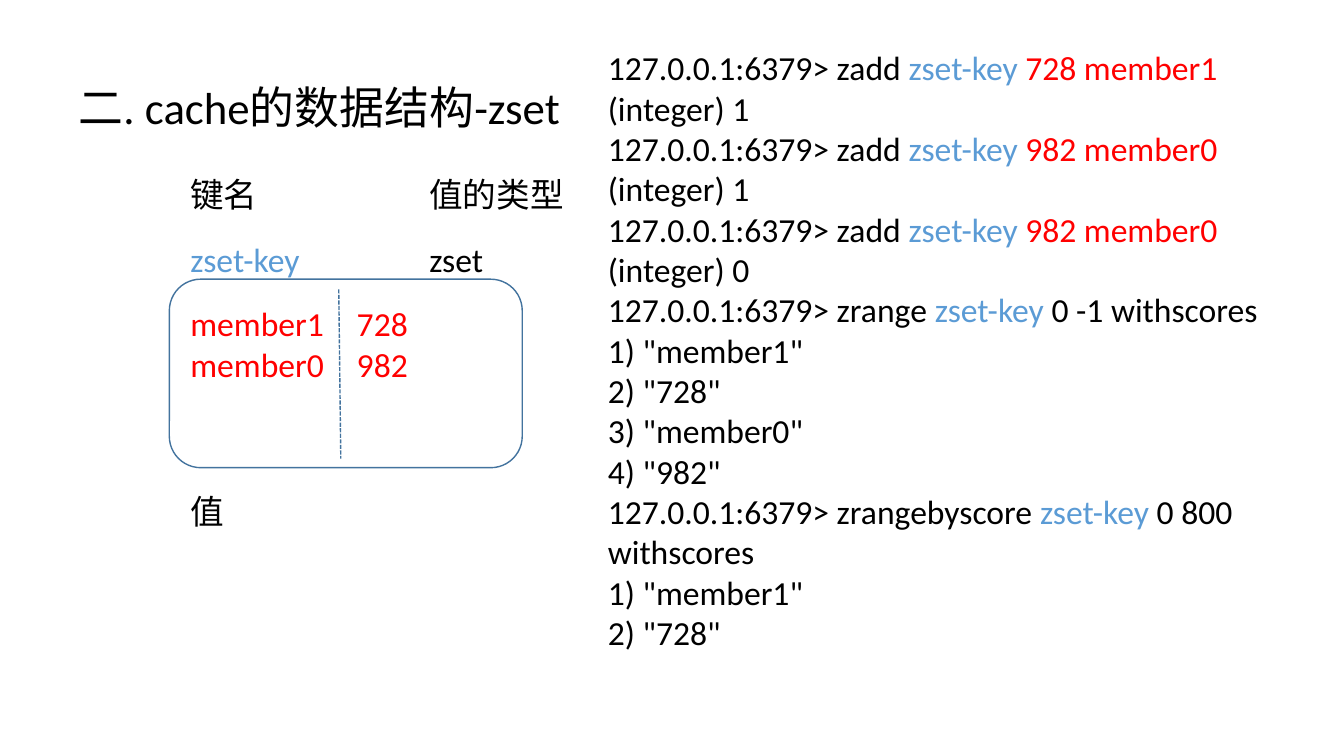
"""Build a slide on the sorted-set data structure with a console session."""
from dataclasses import dataclass

from lxml import etree
from pptx import Presentation
from pptx.dml.color import RGBColor
from pptx.enum.dml import MSO_LINE
from pptx.enum.shapes import MSO_CONNECTOR, MSO_SHAPE
from pptx.enum.text import MSO_ANCHOR, MSO_AUTO_SIZE, PP_ALIGN
from pptx.oxml.ns import qn
from pptx.util import Inches, Pt


@dataclass(frozen=True)
class Theme:
    font: str = "Calibri"
    title_size: int = 32
    body_size: int = 24
    line_width: int = 1
    plain: str = "000000"
    key: str = "5B9BD5"
    entry: str = "FF0000"
    outline: str = "43739E"


THEME = Theme()
TITLE = "二. cache的数据结构-zset"
PROMPT = "127.0.0.1:6379> "
KEY = "zset-key"


def command(verb, *arguments):
    return [(f"{PROMPT}{verb} ", THEME.plain), (KEY, THEME.key), *arguments]


def reply(text):
    return [(text, THEME.plain)]


def add_entry(entry, result):
    return [command("zadd", (f" {entry}", THEME.entry)), reply(f"(integer) {result}")]


def query(verb, limits, *answers):
    numbered = [reply(f'{n}) "{answer}"') for n, answer in enumerate(answers, 1)]
    return [command(verb, (f" {limits} withscores", THEME.plain)), *numbered]


SESSION = [
    *add_entry("728 member1", 1),
    *add_entry("982 member0", 1),
    *add_entry("982 member0", 0),
    *query("zrange", "0 -1", "member1", "728", "member0", "982"),
    *query("zrangebyscore", "0 800", "member1", "728"),
]

COLUMNS = {"key": 1.79, "score": 3.44, "type": 4.16, "session": 5.93}
ROWS = {"session": 0.42, "heading": 1.68, "name": 2.32, "entries": 2.96, "value": 4.82}
LINE_HEIGHT, PADDING = 0.4, 0.1

BLOCKS = [
    ("session", "session", 7.65, SESSION),
    ("key", "heading", 1.17, [reply("键名")]),
    ("key", "name", 2.05, [[(KEY, THEME.key)]]),
    ("type", "heading", 2.75, [reply("值的类型")]),
    ("type", "name", 1.53, [reply("zset")]),
    ("key", "entries", 2.05, [[("member1", THEME.entry)], [("member0", THEME.entry)]]),
    ("score", "entries", 1.46, [[("728", THEME.entry)], [("982", THEME.entry)]]),
    ("key", "value", 1.17, [reply("值")]),
]


def style_line(line):
    line.color.rgb = RGBColor.from_string(THEME.outline)
    line.width = Pt(THEME.line_width)


def add_title(slide):
    title = slide.shapes.title
    title.left, title.top, title.width, title.height = map(Inches, (0.68, 0.74, 6.68, 0.64))
    frame = title.text_frame
    frame.text = TITLE
    frame.auto_size = MSO_AUTO_SIZE.NONE
    frame.vertical_anchor = MSO_ANCHOR.TOP
    heading = frame.paragraphs[0]
    heading.alignment = PP_ALIGN.JUSTIFY
    heading.font.name = THEME.font
    heading.font.size = Pt(THEME.title_size)
    heading.font.color.rgb = RGBColor.from_string(THEME.plain)


def add_value_frame(slide):
    border = slide.shapes.add_shape(
        MSO_SHAPE.ROUNDED_RECTANGLE, *map(Inches, (1.68, 2.77, 3.5, 1.87)))
    border.shadow.inherit = False
    border.fill.background()
    style_line(border.line)
    divider = slide.shapes.add_connector(
        MSO_CONNECTOR.STRAIGHT, *map(Inches, (3.36, 2.87, 3.38, 4.55)))
    style_line(divider.line)
    divider.line.dash_style = MSO_LINE.SQUARE_DOT
    etree.SubElement(divider._element.spPr, qn("a:effectLst"))


def add_block(slide, column, row, width, lines):
    height = len(lines) * LINE_HEIGHT + PADDING
    block = slide.shapes.add_textbox(
        *map(Inches, (COLUMNS[column], ROWS[row], width, height)))
    frame = block.text_frame
    frame.word_wrap = True
    for index, segments in enumerate(lines):
        paragraph = frame.paragraphs[0] if index == 0 else frame.add_paragraph()
        paragraph.font.name = THEME.font
        paragraph.font.size = Pt(THEME.body_size)
        for text, color in segments:
            run = paragraph.add_run()
            run.text = text
            run.font.color.rgb = RGBColor.from_string(color)


def main():
    deck = Presentation()
    deck.slide_width, deck.slide_height = Inches(13.33), Inches(7.5)
    slide = deck.slides.add_slide(deck.slide_layouts.get_by_name("Title Only"))
    add_title(slide)
    add_value_frame(slide)
    for block in BLOCKS:
        add_block(slide, *block)
    deck.save("out.pptx")


if __name__ == "__main__":
    main()
